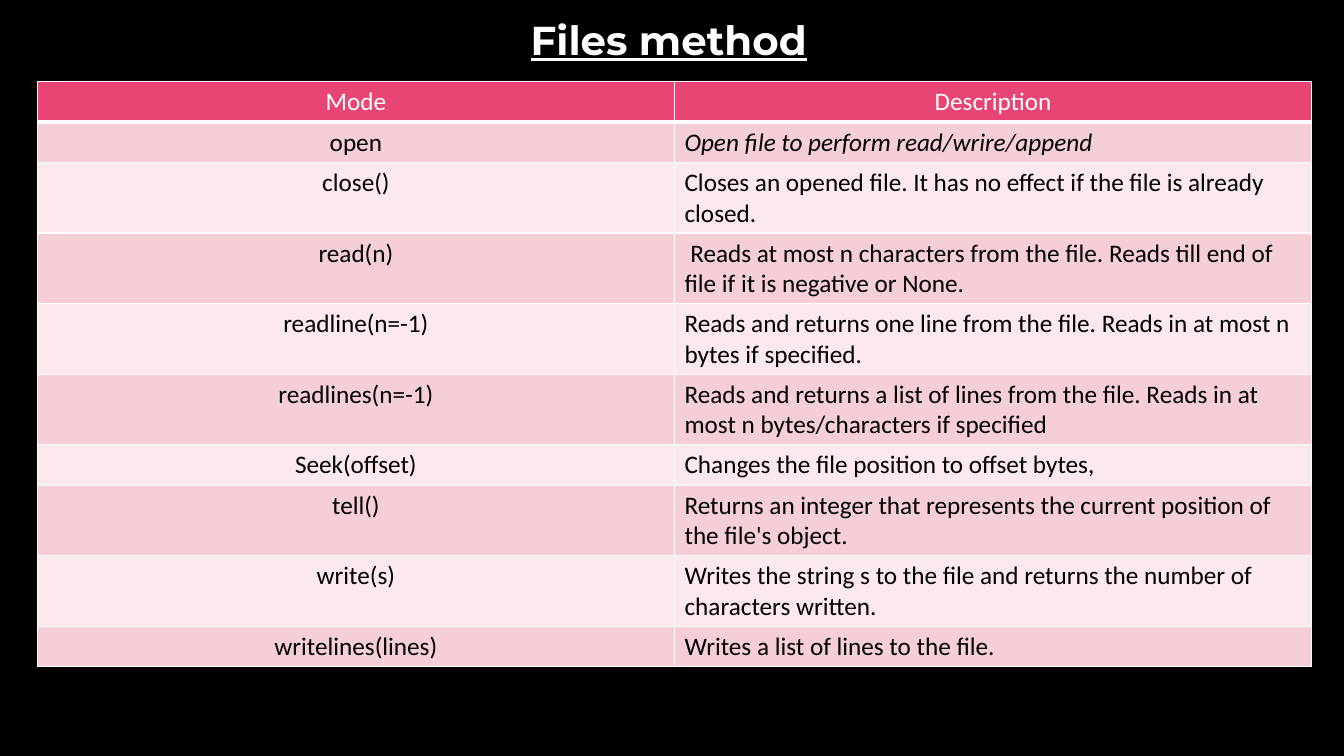
from dataclasses import dataclass

from lxml.etree import SubElement
from pptx import Presentation
from pptx.dml.color import RGBColor
from pptx.enum.text import MSO_ANCHOR, PP_ALIGN
from pptx.oxml.ns import qn
from pptx.util import Inches, Pt


@dataclass(frozen=True)
class Theme:
    back: str = "000000"
    white: str = "FFFFFF"
    ink: str = "000000"
    head: str = "E84574"
    bands: tuple = ("F6CFD6", "FBE9EB")
    title: float = 28.8
    body: float = 18
    thin: float = 1
    thick: float = 3


THEME = Theme()

# Mode, description and number of text lines
ROWS = [
    ("Mode", "Description", 1),
    ("open", "Open file to perform read/wrire/append", 1),
    ("close()", "Closes an opened file. It has no effect if the file is already closed.", 2),
    ("read(n)", " Reads at most n characters from the file. "
     "Reads till end of file if it is negative or None.", 2),
    ("readline(n=-1)", "Reads and returns one line from the file. "
     "Reads in at most n bytes if specified.", 2),
    ("readlines(n=-1)", "Reads and returns a list of lines from the file. "
     "Reads in at most n bytes/characters if specified", 2),
    ("Seek(offset)", "Changes the file position to offset bytes,", 1),
    ("tell()", "Returns an integer that represents the current position "
     "of the file's object.", 2),
    ("write(s)", "Writes the string s to the file and returns the number "
     "of characters written.", 2),
    ("writelines(lines)", "Writes a list of lines to the file.", 1),
]
HEIGHTS = {1: 0.4, 2: 0.7}


def write(frame, text, align, color, **form):
    para = frame.paragraphs[0]
    para.alignment = align
    run = para.add_run()
    run.text = text
    run.font.color.rgb = RGBColor.from_string(color)
    for key, value in form.items():
        setattr(run.font, key, value)


def edge(cell, side, width):
    line = SubElement(cell._tc.get_or_add_tcPr(), qn(f"a:ln{side}"), w=str(Pt(width)))
    fill = SubElement(line, qn("a:solidFill"))
    SubElement(fill, qn("a:srgbClr"), val=THEME.white)


def add_title(slide, box):
    frame = slide.shapes.add_textbox(*map(Inches, box)).text_frame
    frame.word_wrap = True
    frame.vertical_anchor = MSO_ANCHOR.BOTTOM
    write(frame, "Files method", PP_ALIGN.RIGHT, THEME.white, name="Montserrat",
          size=Pt(THEME.title), bold=True, underline=True)


def add_grid(slide, box):
    grid = slide.shapes.add_table(len(ROWS), 2, *map(Inches, box)).table
    for r, (mode, about, lines) in enumerate(ROWS):
        grid.rows[r].height = Inches(HEIGHTS[lines])
        top = r == 0
        for c, text in enumerate((mode, about)):
            cell = grid.cell(r, c)
            # Heavy rule between the header and the body
            rules = {"L": THEME.thin, "R": THEME.thin,
                     "T": THEME.thick if r == 1 else THEME.thin,
                     "B": THEME.thick if top else THEME.thin}
            for side, width in rules.items():
                edge(cell, side, width)
            cell.fill.solid()
            tint = THEME.head if top else THEME.bands[(r - 1) % 2]
            cell.fill.fore_color.rgb = RGBColor.from_string(tint)
            write(cell.text_frame, text,
                  PP_ALIGN.CENTER if top or c == 0 else PP_ALIGN.LEFT,
                  THEME.white if top else THEME.ink, name="Calibri",
                  size=Pt(THEME.body), bold=False, italic=(r, c) == (1, 1))


def main():
    deck = Presentation()
    deck.slide_width, deck.slide_height = Inches(13.33), Inches(7.5)
    slide = deck.slides.add_slide(deck.slide_layouts[6])
    back = slide.background.fill
    back.solid()
    back.fore_color.rgb = RGBColor.from_string(THEME.back)
    add_title(slide, (4.58, 0.18, 3.52, 0.5))
    add_grid(slide, (0.37, 0.81, 12.64, 5.8))
    deck.save("out.pptx")


if __name__ == "__main__":
    main()
